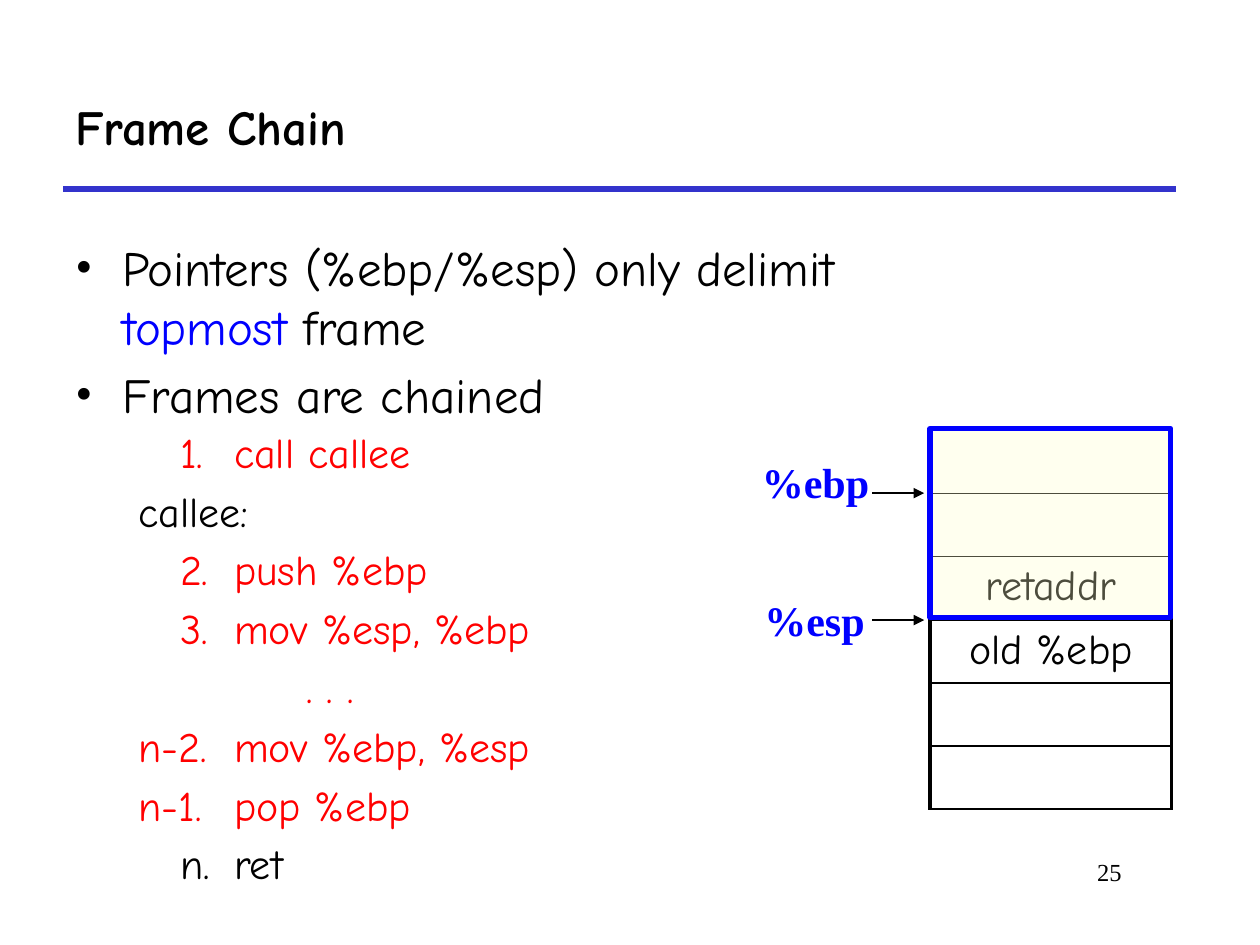
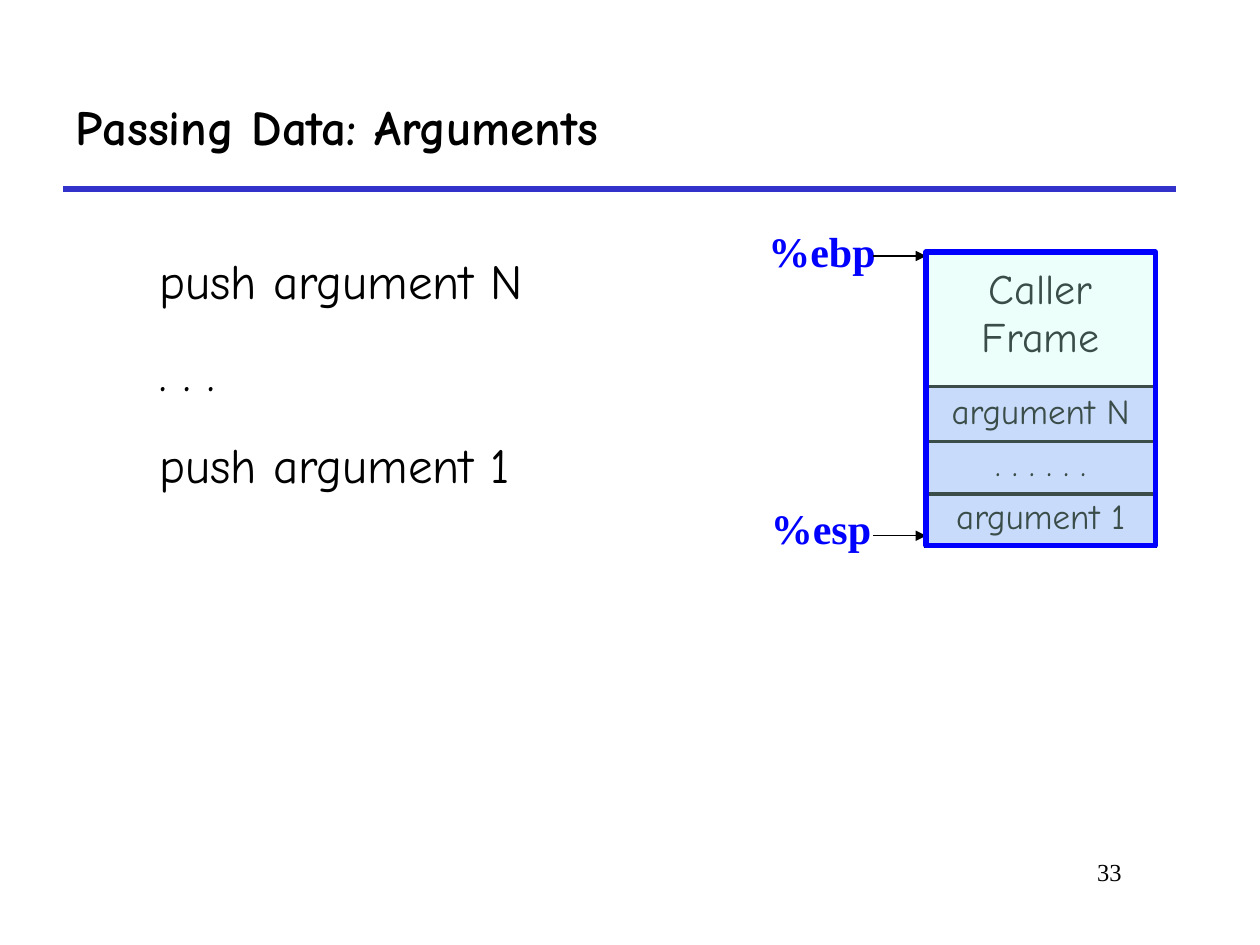
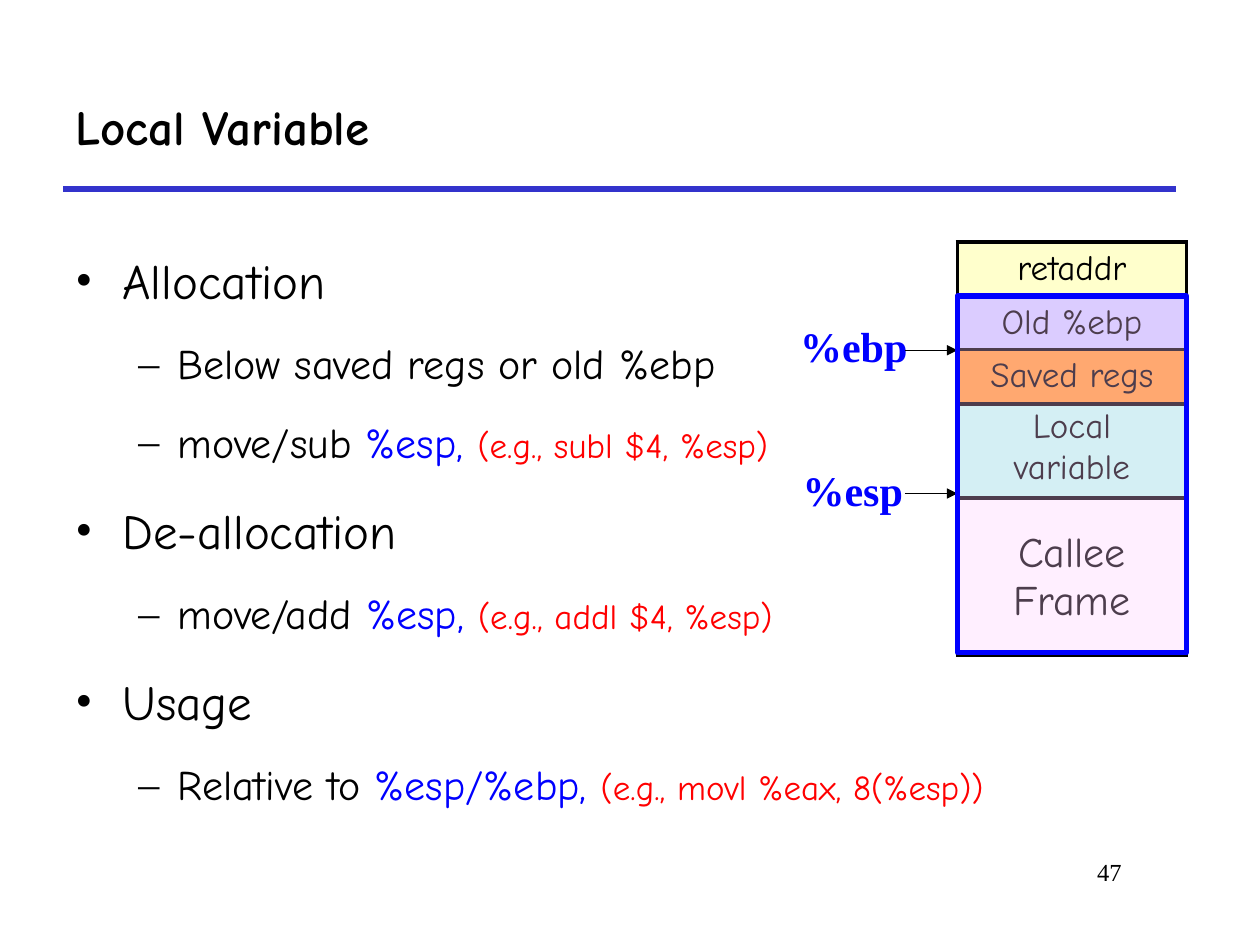
from lxml import etree
from pptx import Presentation
from pptx.dml.color import RGBColor
from pptx.enum import shapes, text
from pptx.oxml import ns
from pptx.util import Cm, Pt

COLORS = {
    "black": "000000", "white": "FFFFFF", "rule": "3333CC", "blue": "0000FF",
    "red": "FF0000", "yellow": "FFFFCC", "lilac": "CCCCFF", "mint": "C2FFF0",
    "orange": "FF9933", "pink": "FFCCFF",
}
HAND = "Comic Neue"
SERIF = "Times New Roman"
LEVELS = {
    "point": {"margin": 0.95, "indent": -0.95, "bullet": "•", "size": 28},
    "detail": {"margin": 2.06, "indent": -0.79, "bullet": "–", "size": 24},
    "plain": {"margin": 0, "indent": 0, "size": 28},
    "label": {"margin": 1.27, "indent": 0, "size": 24},
    "step": {"margin": 3.2, "indent": -1.09, "size": 24},
    "last step": {"margin": 3.2, "indent": -1.93, "size": 24},
    "dots": {"margin": 4.66, "indent": 0, "size": 24},
}


def color(name):
    return RGBColor.from_string(COLORS[name])


def add_xml(parent, tag, **attributes):
    return etree.SubElement(parent, ns.qn(tag), attributes)


def style_run(run, size, ink="black", face=HAND, bold=False):
    run.font.size = Pt(size)
    run.font.name = face
    run.font.bold = bold
    run.font.color.rgb = color(ink)


def add_text(slide, box, content, size, ink="black", face=HAND, bold=False,
             align=text.PP_ALIGN.LEFT, anchor=text.MSO_ANCHOR.TOP, wrap=True):
    frame = slide.shapes.add_textbox(*map(Cm, box)).text_frame
    frame.word_wrap = wrap
    frame.vertical_anchor = anchor
    frame.text = content
    frame.paragraphs[0].alignment = align
    style_run(frame.paragraphs[0].runs[0], size, ink, face, bold)


def add_outline(slide, box, entries, spacing=1.0):
    frame = slide.shapes.add_textbox(*map(Cm, box)).text_frame
    frame.word_wrap = True
    for index, (level, *parts) in enumerate(entries):
        paragraph = frame.add_paragraph() if index else frame.paragraphs[0]
        look = LEVELS[level]
        properties = paragraph._p.get_or_add_pPr()
        properties.set("marL", str(Cm(look["margin"])))
        properties.set("indent", str(Cm(look["indent"])))
        if "bullet" in look:
            add_xml(properties, "a:buFont", typeface=SERIF)
            add_xml(properties, "a:buChar", char=look["bullet"])
        paragraph.line_spacing = spacing
        if index:
            paragraph.space_before = Pt(look["size"] * 0.2)
        for words, ink, *size in parts:
            run = paragraph.add_run()
            run.text = words
            style_run(run, size[0] if size else look["size"], ink)


def add_line(slide, start, end, width, ink="black", arrow=False):
    line = slide.shapes.add_connector(
        shapes.MSO_CONNECTOR.STRAIGHT, *map(Cm, start + end))
    line.line.width = Pt(width)
    line.line.color.rgb = color(ink)
    if arrow:
        add_xml(line.line._get_or_add_ln(), "a:tailEnd", type="triangle")
    add_xml(line._element.spPr, "a:effectLst")


def set_borders(cell, side_width, level_width):
    properties = cell._tc.get_or_add_tcPr()
    for side, width in zip("LRTB", [side_width] * 2 + [level_width] * 2):
        border = add_xml(properties, f"a:ln{side}", w=str(Pt(width)))
        ink = add_xml(border, "a:solidFill")
        add_xml(ink, "a:srgbClr", val=COLORS["black"])


def add_stack(slide, box, words, size, fill=None, level_width=2.25,
              inset=0.13):
    left, top, width, height = box
    table = slide.shapes.add_table(
        len(words), 1, Cm(left), Cm(top), Cm(width), Cm(height)).table
    table.first_row = table.horz_banding = False
    for index, content in enumerate(words):
        table.rows[index].height = Cm(height / len(words))
        cell = table.cell(index, 0)
        set_borders(cell, 2.25, level_width)
        cell.margin_top = Cm(inset)
        if fill:
            cell.fill.solid()
            cell.fill.fore_color.rgb = color(fill)
        else:
            cell.fill.background()
        if content:
            cell.text_frame.text = content
            paragraph = cell.text_frame.paragraphs[0]
            paragraph.alignment = text.PP_ALIGN.CENTER
            for run in paragraph.runs:
                style_run(run, size)


def add_frame(slide, box, tint):
    frame = slide.shapes.add_shape(
        shapes.MSO_SHAPE.RECTANGLE, *map(Cm, box))
    frame.shadow.inherit = False
    frame.fill.solid()
    frame.fill.fore_color.rgb = color(tint)
    shade = frame._element.spPr.find(
        f"{ns.qn('a:solidFill')}/{ns.qn('a:srgbClr')}")
    add_xml(shade, "a:alpha", val="30000")
    frame.line.color.rgb = color("blue")
    frame.line.width = Pt(3)


def add_pointer(slide, register, left, top, start, tip, level, width=0.75):
    add_text(slide, (left, top, 2.69, 1.3), register, 24, "blue", SERIF,
             bold=True, wrap=False)
    add_line(slide, (start, level), (tip, level), width, arrow=True)


def add_page(deck, title, number):
    slide = deck.slides.add_slide(deck.slide_layouts[6])
    add_line(slide, (1.27, 3.81), (23.7, 3.81), 3, "rule")
    add_text(slide, (1.27, 1.27, 22.43, 2.54), title, 28, bold=True,
             anchor=text.MSO_ANCHOR.MIDDLE)
    add_text(slide, (19.25, 17.15, 3.61, 1.27), number, 14, face=SERIF,
             align=text.PP_ALIGN.RIGHT)
    return slide


def build_frame_chain(deck):
    slide = add_page(deck, "Frame Chain", "25")
    add_stack(slide, (18.75, 8.68, 4.87, 7.62),
              ["", "", "retaddr", "old %ebp", "", ""], 24, "white",
              level_width=1)
    add_frame(slide, (18.75, 8.64, 4.85, 3.81), "yellow")
    add_outline(slide, (1.27, 4.66, 16.84, 4.24), [
        ("point", ("Pointers (%ebp/%esp) only delimit ", "black"),
         ("topmost ", "blue"), ("frame", "black")),
        ("point", ("Frames are chained", "black")),
    ])
    add_pointer(slide, "%ebp", 15.11, 9.07, 17.58, 18.63, 9.94, 1.5)
    add_pointer(slide, "%esp", 15.16, 11.86, 17.58, 18.63, 12.5, 1.5)
    add_outline(slide, (1.27, 8.47, 12.7, 9.9), [
        ("step", ("1.\tcall callee", "red")),
        ("label", ("callee:", "black")),
        ("step", ("2.\tpush %ebp", "red")),
        ("step", ("3.\tmov %esp, %ebp", "red")),
        ("dots", (". . .", "red")),
        ("last step", ("n-2.\tmov %ebp, %esp", "red")),
        ("last step", ("n-1.\tpop %ebp", "red")),
        ("step", ("n.\tret", "black")),
    ])


def build_arguments(deck):
    slide = add_page(deck, "Passing Data: Arguments", "33")
    pushed = ["argument 1", ". . . . . .", "argument N"]
    for index, word in enumerate(pushed):
        add_stack(slide, (18.67, 9.91 - index * 1.06, 4.62, 1.09), [word], 20,
                  "lilac")
    add_outline(slide, (2.97, 4.45, 21.59, 12.27), [
        ("plain", (words, "black"))
        for words in ("push argument N", ". . .", "push argument 1")
    ], spacing=1.4)
    add_pointer(slide, "%ebp", 15.24, 4.43, 17.6, 18.67, 5.16)
    add_pointer(slide, "%esp", 15.29, 10.01, 17.6, 18.67, 10.8)
    add_stack(slide, (18.67, 5.08, 4.62, 5.92), ["Caller\vFrame"], 24,
              inset=0.3)
    add_frame(slide, (18.67, 5.08, 4.62, 5.92), "mint")


def build_local_variable(deck):
    slide = add_page(deck, "Local Variable", "47")
    for top, height, word, fill in (
            (5.97, 1.09, "Old %ebp", "lilac"),
            (8.08, 1.96, "Local variable", "mint"),
            (7.04, 1.09, "Saved regs", "orange")):
        add_stack(slide, (19.3, top, 4.62, height), [word], 20, fill)
    add_outline(slide, (1.27, 4.45, 23.29, 12.27), [
        ("point", ("Allocation", "black")),
        ("detail", ("Below saved regs or old %ebp", "black")),
        ("detail", ("move/sub ", "black"), ("%esp, ", "blue"),
         ("(e.g., subl $4, %esp)", "red", 20)),
        ("point", ("De-allocation", "black")),
        ("detail", ("move/add ", "black"), ("%esp, ", "blue"),
         ("(e.g., addl $4, %esp)", "red", 20)),
        ("point", ("Usage", "black")),
        ("detail", ("Relative to ", "black"), ("%esp/%ebp, ", "blue"),
         ("(e.g., movl %eax, 8(%esp))", "red", 20)),
    ], spacing=1.4)
    add_stack(slide, (19.3, 5.97, 4.62, 7.24), ["Callee\vFrame"], 24,
              inset=4.7)
    add_pointer(slide, "%ebp", 15.88, 6.33, 18.24, 19.3, 7.06)
    add_pointer(slide, "%esp", 15.93, 9.24, 18.24, 19.3, 9.95)
    add_stack(slide, (19.3, 4.88, 4.62, 1.09), ["retaddr"], 20, "yellow")
    add_frame(slide, (19.3, 5.97, 4.62, 7.19), "pink")


def main():
    deck = Presentation()
    deck.slide_width = Cm(25.4)
    deck.slide_height = Cm(19.05)
    build_frame_chain(deck)
    build_arguments(deck)
    build_local_variable(deck)
    deck.save("out.pptx")


if __name__ == "__main__":
    main()
